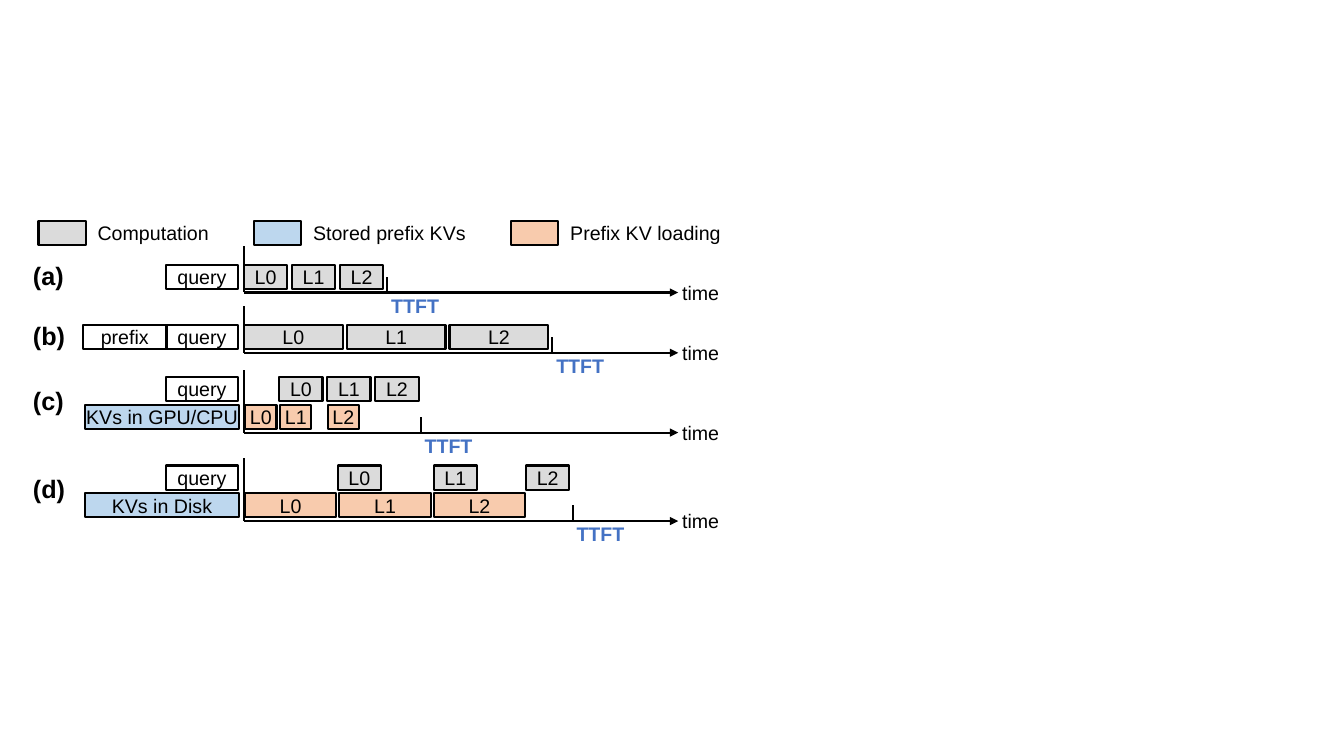
from dataclasses import dataclass

from lxml.etree import SubElement
from pptx import Presentation
from pptx.dml.color import RGBColor
from pptx.enum.shapes import MSO_CONNECTOR, MSO_SHAPE
from pptx.enum.text import MSO_ANCHOR, PP_ALIGN
from pptx.oxml.ns import qn
from pptx.util import Cm, Pt


@dataclass(frozen=True)
class Theme:
    font: str = "Arial"
    ink: str = "000000"
    accent: str = "4472C4"
    computation: str = "DBDBDB"
    stored: str = "BDD7EE"
    loading: str = "F8CBAD"
    body_size: int = 14
    label_size: int = 18
    line_width: float = 1.5


THEME = Theme()

# All lengths below are in centimetres.
BAR_HEIGHT = 0.61
LANE_PITCH = 0.7
AXIS_LENGTH = 10.94
TICK_HEIGHT = 0.4
TEXT_HEIGHT = 0.86


@dataclass(frozen=True)
class Input:
    """A box left of the axis; left is measured from the time origin."""
    name: str
    lane: int
    left: float
    width: float
    fill: str | None = None


@dataclass(frozen=True)
class Layers:
    """The bars L0, L1, ... of one lane; starts are measured from the origin."""
    lane: int
    starts: tuple
    width: float
    fill: str


@dataclass(frozen=True)
class Scenario:
    label: str
    axis_top: float
    lanes: int
    inputs: tuple
    work: tuple
    first_token: float


def evenly(start, pitch):
    return tuple(start + pitch * layer for layer in range(3))


def query(lane=1):
    return Input("query", lane, -1.96, 1.8)


def stored_kvs(place):
    return Input(f"KVs in {place}", 1, -4.01, 3.89, THEME.stored)


def computation(lane, starts, width=1.09):
    return Layers(lane, starts, width, THEME.computation)


def loading(starts, width):
    return Layers(1, starts, width, THEME.loading)


SCENARIOS = (
    Scenario("(a)", 7.37, 1, (query(),),
             (computation(1, evenly(0, 1.21)),), 3.61),
    Scenario("(b)", 8.89, 1, (query(), Input("prefix", 1, -4.06, 2.11)),
             (computation(1, evenly(0, 2.59), 2.49),), 7.77),
    Scenario("(c)", 10.9, 2, (query(2), stored_kvs("GPU/CPU")),
             (computation(2, evenly(0.89, 1.21)),
              loading((0.03, 0.91, 2.11), 0.79)), 4.45),
    Scenario("(d)", 13.13, 2, (query(2), stored_kvs("Disk")),
             (computation(2, (2.36, 4.78, 7.11)),
              loading(evenly(0.02, 2.38), 2.31)), 8.28),
)

LEGEND = (
    ("Computation", THEME.computation, 0, 3.33),
    ("Stored prefix KVs", THEME.stored, 5.43, 4.39),
    ("Prefix KV loading", THEME.loading, 11.91, 4.34),
)


def write(frame, text, size=THEME.body_size, color=THEME.ink, bold=False):
    frame.word_wrap = False
    frame.vertical_anchor = MSO_ANCHOR.MIDDLE
    paragraph = frame.paragraphs[0]
    paragraph.text = text
    font = paragraph.font
    font.name, font.size, font.bold = THEME.font, Pt(size), bold
    font.color.rgb = RGBColor.from_string(color)
    return paragraph


def add_text(slide, text, left, top, width, **style):
    box = slide.shapes.add_textbox(Cm(left), Cm(top), Cm(width), Cm(TEXT_HEIGHT))
    write(box.text_frame, text, **style)


def add_bar(slide, left, top, width, fill=None, text=""):
    bar = slide.shapes.add_shape(
        MSO_SHAPE.RECTANGLE, Cm(left), Cm(top), Cm(width), Cm(BAR_HEIGHT))
    bar.shadow.inherit = False
    bar.line.color.rgb = RGBColor.from_string(THEME.ink)
    bar.line.width = Pt(THEME.line_width)
    if fill:
        bar.fill.solid()
        bar.fill.fore_color.rgb = RGBColor.from_string(fill)
    else:
        bar.fill.background()
    if text:
        frame = bar.text_frame
        frame.margin_left = frame.margin_right = 0
        frame.margin_top = frame.margin_bottom = 0
        write(frame, text).alignment = PP_ALIGN.CENTER


def add_line(slide, x1, y1, x2, y2, arrow=False):
    line = slide.shapes.add_connector(
        MSO_CONNECTOR.STRAIGHT, Cm(x1), Cm(y1), Cm(x2), Cm(y2))
    line.line.color.rgb = RGBColor.from_string(THEME.ink)
    line.line.width = Pt(THEME.line_width)
    properties = line._element.spPr
    if arrow:
        SubElement(properties.find(qn("a:ln")), qn("a:tailEnd"), type="triangle")
    SubElement(properties, qn("a:effectLst"))


def draw_legend(slide, left, top):
    for name, fill, offset, text_width in LEGEND:
        add_bar(slide, left + offset, top, 1.19, fill)
        add_text(slide, name, left + offset + 1.24, top - 0.13, text_width)


def draw_scenario(slide, scenario, left, origin):
    """Draw one timeline: label at left, time axis starting at origin."""
    axis = scenario.axis_top
    end = origin + AXIS_LENGTH
    tick = origin + scenario.first_token
    label_middle = axis - (0.43 if scenario.lanes == 1 else 0.81)

    def lane_top(lane):
        return axis - LANE_PITCH * lane

    add_text(slide, scenario.label, left, label_middle - TEXT_HEIGHT / 2, 1.31,
             size=THEME.label_size, bold=True)
    for item in scenario.inputs:
        add_bar(slide, origin + item.left, lane_top(item.lane), item.width,
                item.fill, item.name)
    for layers in scenario.work:
        for number, start in enumerate(layers.starts):
            add_bar(slide, origin + start, lane_top(layers.lane), layers.width,
                    layers.fill, f"L{number}")

    add_line(slide, origin, axis, end, axis, arrow=True)
    add_line(slide, origin, axis, origin, axis - 0.76 - 0.41 * scenario.lanes)
    add_line(slide, tick, axis, tick, axis - TICK_HEIGHT)
    add_text(slide, "time", end - 0.15, axis - 0.43, 1.45)
    add_text(slide, "TTFT", tick - 0.15, axis - 0.1, 1.73,
             color=THEME.accent, bold=True)


def main():
    deck = Presentation()
    deck.slide_width, deck.slide_height = Cm(33.87), Cm(19.05)
    slide = deck.slides.add_slide(deck.slide_layouts[6])
    draw_legend(slide, left=0.97, top=5.56)
    for scenario in SCENARIOS:
        draw_scenario(slide, scenario, left=0.58, origin=6.15)
    deck.save("out.pptx")


if __name__ == "__main__":
    main()
